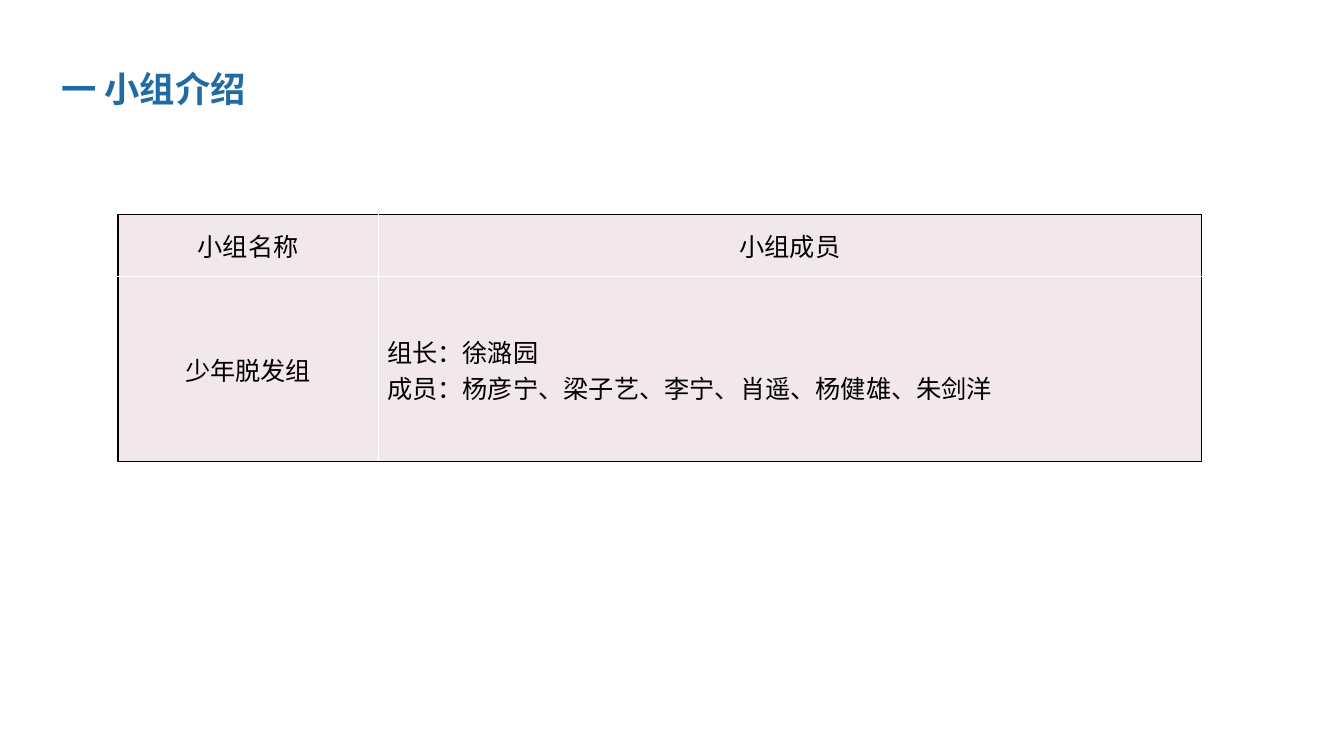
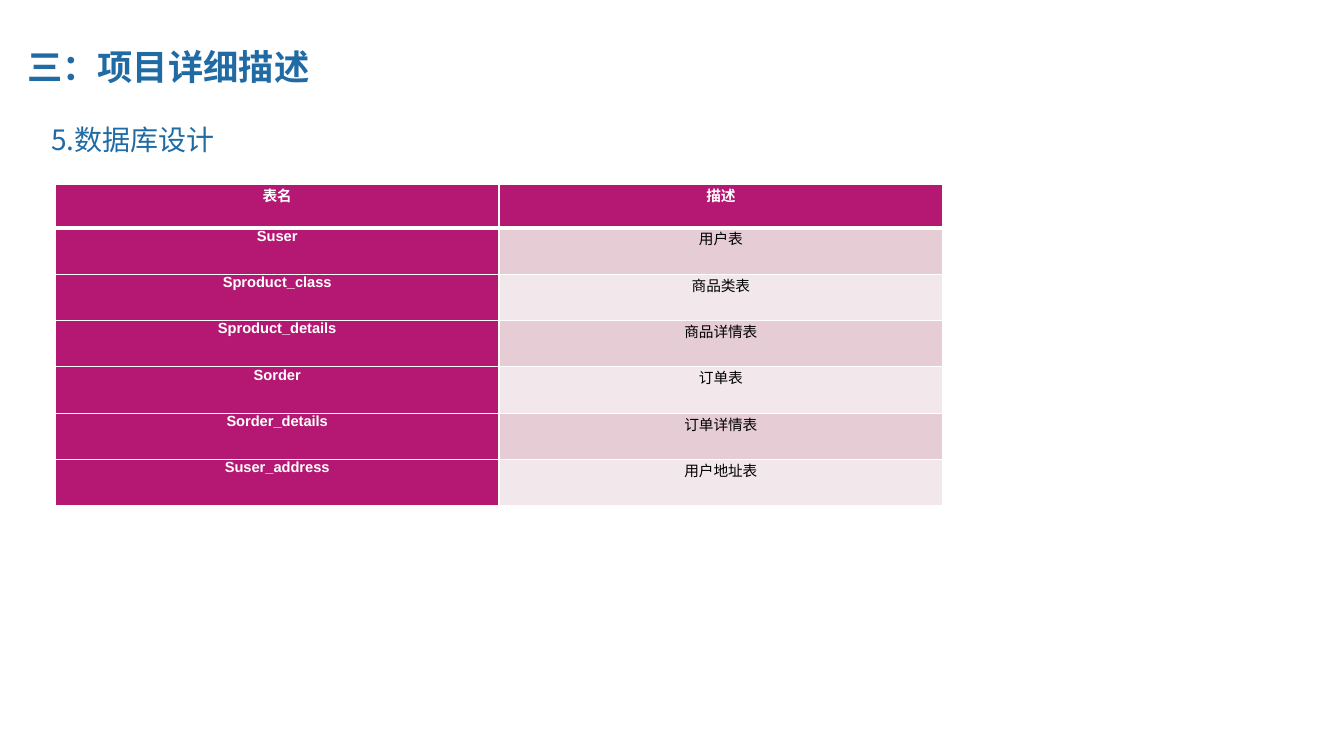
"""Build two slides: the team introduction and the database design."""
from lxml import etree
from pptx import Presentation
from pptx.dml.color import RGBColor
from pptx.enum import text
from pptx.oxml import ns
from pptx.util import Inches, Pt

BLUE = RGBColor(0x21, 0x6B, 0xA5)
PLUM = RGBColor(0xB4, 0x18, 0x73)
ROSE = RGBColor(0xE5, 0xCC, 0xD5)
PALE = RGBColor(0xF2, 0xE8, 0xEB)
BLACK = RGBColor(0, 0, 0)
WHITE = RGBColor(0xFF, 0xFF, 0xFF)
LATIN = "Arial"
HAN = "Noto Sans CJK SC"
MID = text.MSO_ANCHOR.MIDDLE
TOP = text.MSO_ANCHOR.TOP


def style(para, size, color, bold=False, face=LATIN):
    font = para.font
    font.size, font.bold, font.name = Pt(size), bold, face
    font.color.rgb = color
    props = para._p.get_or_add_pPr().find(ns.qn("a:defRPr"))
    etree.SubElement(props, ns.qn("a:ea"), typeface=HAN)


def border(cell, side, color, width):
    line = etree.SubElement(cell._tc.get_or_add_tcPr(), ns.qn("a:ln" + side), w=str(Pt(width)))
    fill = etree.SubElement(line, ns.qn("a:solidFill"))
    etree.SubElement(fill, ns.qn("a:srgbClr"), val=str(color))


deck = Presentation()
deck.slide_width, deck.slide_height = Inches(13.33), Inches(7.5)

team = {
    "title": "一 小组介绍", "at": (0.51, 0.65),
    "spot": (1.17, 2.13), "cols": [2.58, 8.17], "rows": [0.61, 1.84],
    "cells": [("小组名称", "小组成员"),
              ("少年脱发组", "组长：徐潞园\v成员：杨彦宁、梁子艺、李宁、肖遥、杨健雄、朱剑洋")],
    "size": 18, "edge": BLACK, "rule": 1, "anchor": MID, "inset": (0.01, 0.01),
    "fills": [[PALE, PALE], [PALE, PALE]],
}
base = {
    "title": "三：项目详细描述", "at": (0.17, 0.43),
    "spot": (0.55, 1.83), "cols": [4.4, 4.4], "rows": [0.43] + [0.46] * 6,
    "cells": [("表名", "描述"), ("Suser", "用户表"), ("Sproduct_class", "商品类表"),
              ("Sproduct_details", "商品详情表"), ("Sorder", "订单表"),
              ("Sorder_details", "订单详情表"), ("Suser_address", "用户地址表")],
    "size": 10.5, "edge": WHITE, "rule": 3, "anchor": TOP, "inset": (0.07, 0),
    "fills": [[PLUM, PLUM]] + [[PLUM, ROSE], [PLUM, PALE]] * 3,
}

for page in (team, base):
    slide = deck.slides.add_slide(deck.slide_layouts[6])
    left, top = page["at"]
    labels = [(page["title"], left, top, 11.5, 0.51, 25.2, True, LATIN, MID, 0.9)]
    if page is base:
        labels.append(("5.数据库设计", 0.41, 1.17, 11.79, 0.44, 20, False, HAN, TOP, 1.0))
    for words, left, top, wide, high, size, bold, face, anchor, space in labels:
        box = slide.shapes.add_textbox(Inches(left), Inches(top), Inches(wide), Inches(high))
        frame = box.text_frame
        frame.word_wrap, frame.vertical_anchor = True, anchor
        frame.text = words
        para = frame.paragraphs[0]
        para.line_spacing = space
        style(para, size, BLUE, bold, face)

    cols, rows = page["cols"], page["rows"]
    left, top = page["spot"]
    table = slide.shapes.add_table(len(rows), len(cols), Inches(left), Inches(top),
                                   Inches(sum(cols)), Inches(sum(rows))).table
    table.first_row = table.horz_banding = False
    for col, wide in zip(table.columns, cols):
        col.width = Inches(wide)
    for row, high in zip(table.rows, rows):
        row.height = Inches(high)

    side, foot = page["inset"]
    for r, line in enumerate(page["cells"]):
        for c, words in enumerate(line):
            cell = table.cell(r, c)
            outer = {"L": c == 0, "R": c == len(cols) - 1, "T": r == 0, "B": r == len(rows) - 1}
            for name, edge in outer.items():
                thick = page["rule"] if (r, name) in ((0, "B"), (1, "T")) else 1
                border(cell, name, page["edge"] if edge else WHITE, thick)
            fill = page["fills"][r][c]
            cell.fill.solid()
            cell.fill.fore_color.rgb = fill
            cell.margin_left = cell.margin_right = Inches(side)
            cell.margin_top, cell.margin_bottom = Inches(foot), 0
            cell.vertical_anchor = page["anchor"]
            cell.text_frame.text = words
            para = cell.text_frame.paragraphs[0]
            dark = fill == PLUM
            style(para, page["size"], WHITE if dark else BLACK, dark)
            if "\v" in words:
                para._p.get_or_add_pPr().set("marL", str(Inches(0.08)))
            else:
                para.alignment = text.PP_ALIGN.CENTER

deck.save("out.pptx")
